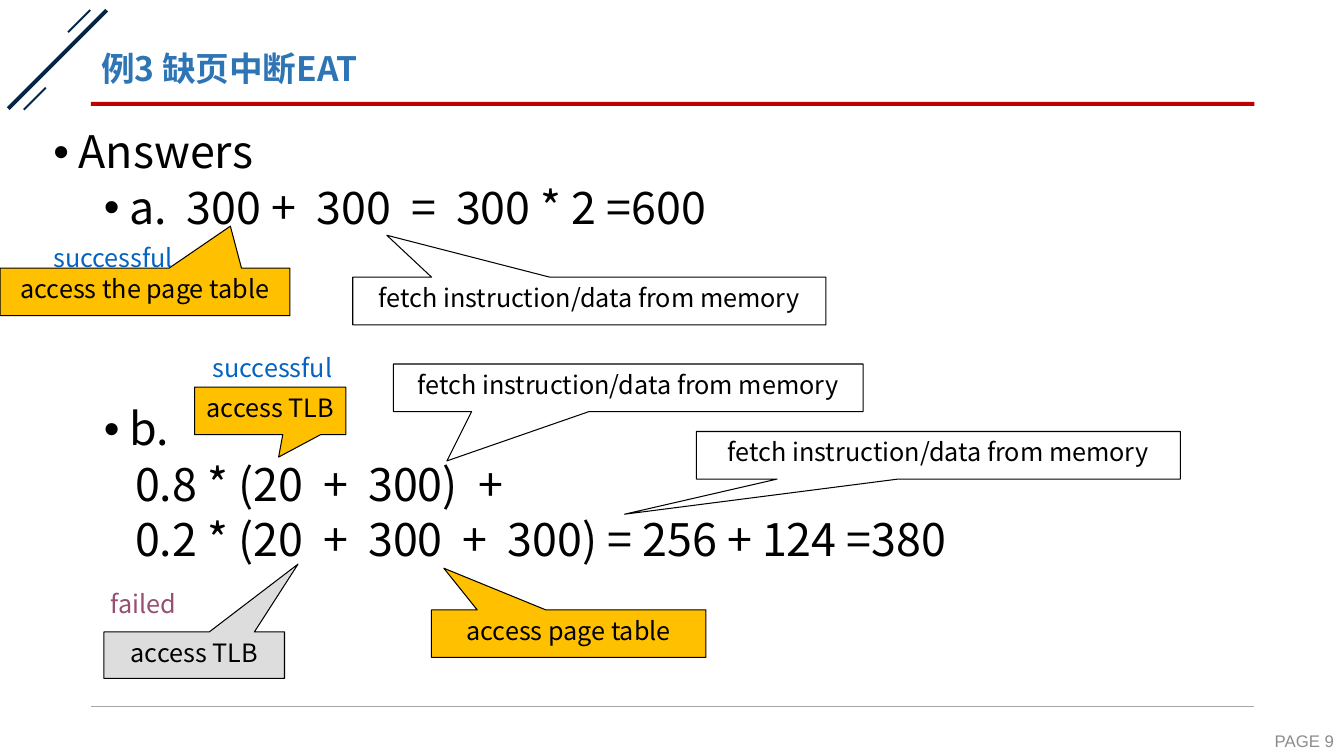
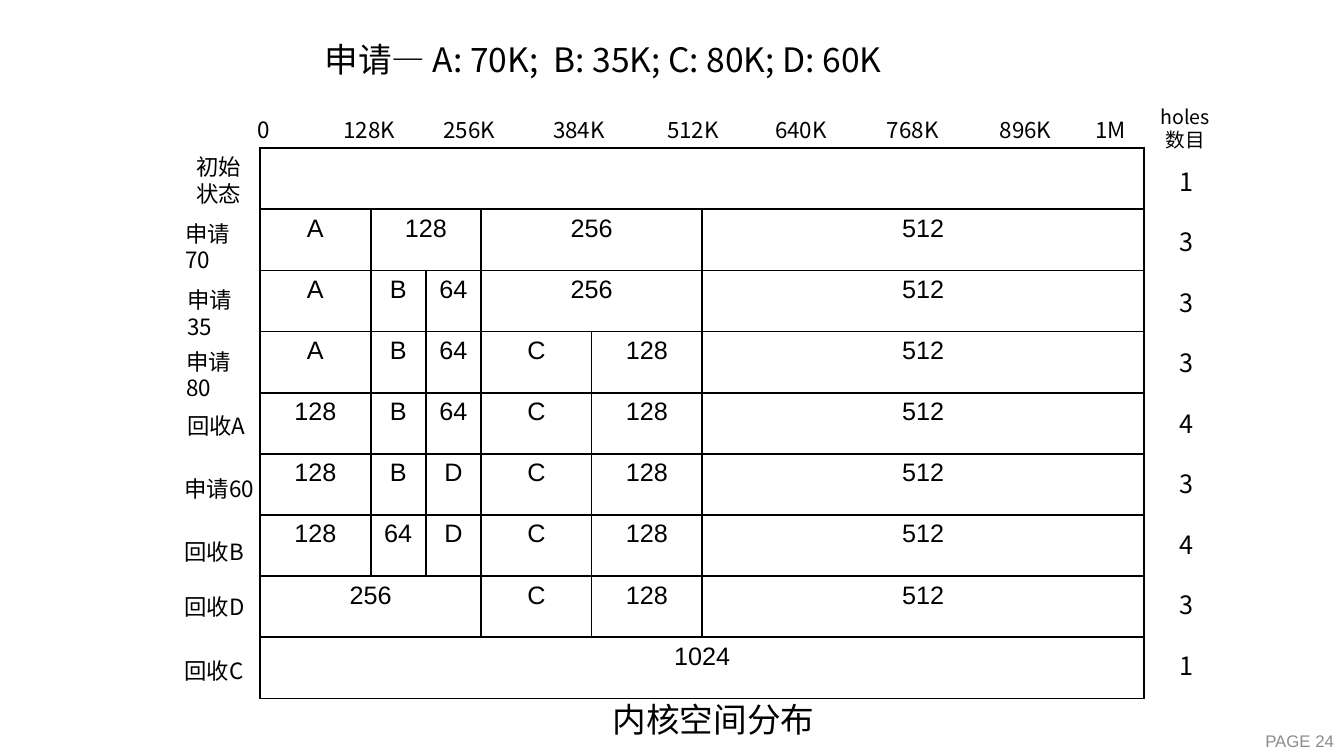
from lxml import etree
from pptx import Presentation
from pptx.dml.color import RGBColor
from pptx.enum import shapes, text
from pptx.oxml import ns
from pptx.util import Pt

COLORS = {
    "black": "000000", "white": "FFFFFF", "navy": "052547", "red": "C00000",
    "rule": "A6A6A6", "title": "2E75B6", "page": "8C8C8C", "amber": "FFC000",
    "silver": "DDDDDD", "success": "0563C1", "failure": "954F72",
}
FONT, LATIN = "Noto Sans CJK SC", "Arial"
LEFT, CENTER, RIGHT = text.PP_ALIGN.LEFT, text.PP_ALIGN.CENTER, text.PP_ALIGN.RIGHT
TOP, MIDDLE = text.MSO_ANCHOR.TOP, text.MSO_ANCHOR.MIDDLE


def rgb(name):
    return RGBColor.from_string(COLORS[name])


def sub(parent, tag, **attrs):
    return etree.SubElement(parent, ns.qn(tag), attrs)


def write(tf, content, size=18, color="black", font=FONT, bold=False, align=LEFT,
          spacing=None, before=None, level=0, margin=None, hang=0, bullet=None):
    """Add one paragraph per line of content to a text frame."""
    for line in content.split("\n"):
        p = tf.paragraphs[0] if not tf.text else tf.add_paragraph()
        p.alignment, p.level = align, level
        if spacing is not None:
            p.line_spacing = spacing
        if before is not None:
            p.space_before = Pt(before)
        if margin is not None:
            pPr = p._p.get_or_add_pPr()
            pPr.set("marL", str(Pt(margin)))
            pPr.set("indent", str(Pt(-hang)))
            if bullet:
                sub(pPr, "a:buFont", typeface=LATIN)
                sub(pPr, "a:buChar", char=bullet)
            else:
                sub(pPr, "a:buNone")
        r = p.add_run()
        r.text = line
        r.font.size, r.font.bold, r.font.name = Pt(size), bold, font
        r.font.color.rgb = rgb(color)
        sub(r._r.get_or_add_rPr(), "a:ea", typeface=font)


class Deck:
    """The shared style and the slide being built."""

    def __init__(self):
        self.prs = Presentation()
        self.prs.slide_width, self.prs.slide_height = Pt(960), Pt(540)
        self.s = None

    def slide(self, layout, page):
        self.s = self.prs.slides.add_slide(self.prs.slide_layouts[layout])
        for sp in list(self.s.placeholders):
            if sp.placeholder_format.idx > 1:
                sp._element.getparent().remove(sp._element)
        self.label(856, 517, 104, f"PAGE {page}", height=24.5, anchor=MIDDLE,
                   size=12, color="page", font=LATIN, align=RIGHT)

    def frame(self, sp, box, anchor=TOP):
        sp.left, sp.top, sp.width, sp.height = map(Pt, box)
        tf = sp.text_frame
        tf.word_wrap, tf.vertical_anchor = True, anchor
        tf.auto_size = text.MSO_AUTO_SIZE.NONE
        return tf

    def title(self, content, box, anchor=MIDDLE, **fmt):
        write(self.frame(self.s.shapes.title, box, anchor), content, size=24, **fmt)

    def body(self, box):
        return self.frame(self.s.placeholders[1], box)

    def label(self, x, y, width, content, height=28, anchor=TOP, **fmt):
        box = (x, y, width, height)
        sp = self.s.shapes.add_textbox(*map(Pt, box))
        write(self.frame(sp, box, anchor), content, **fmt)

    def shape(self, kind, box, fill, line=None, rotation=0):
        sp = self.s.shapes.add_shape(kind, *map(Pt, box))
        sp.shadow.inherit = False
        sp.rotation = rotation
        sp.fill.solid()
        sp.fill.fore_color.rgb = rgb(fill)
        if line:
            sp.line.color.rgb, sp.line.width = rgb(line), Pt(0.75)
        else:
            sp.line.fill.background()
        return sp

    def callout(self, box, tip, fill, content):
        sp = self.shape(shapes.MSO_SHAPE.RECTANGULAR_CALLOUT, box, fill, "black")
        sp.adjustments[0], sp.adjustments[1] = tip
        write(self.frame(sp, box), content, align=CENTER)

    def rule(self, x1, x2, y):
        ln = self.s.shapes.add_connector(
            shapes.MSO_CONNECTOR.STRAIGHT, Pt(x1), Pt(y), Pt(x2), Pt(y))
        ln.line.color.rgb, ln.line.width = rgb("rule"), Pt(0.5)
        sub(ln._element.spPr, "a:effectLst")

    def bands(self):
        rect = shapes.MSO_SHAPE.RECTANGLE
        for box in ((-8.6, 41, 99.4, 2.9), (45.4, 14.4, 22.3, 1.4), (13.7, 69.8, 22.3, 1.4)):
            self.shape(rect, box, "navy", rotation=315)
        self.shape(rect, (65, 72.7, 831, 2.9), "red")
        self.rule(65, 896, 504.7)

    def table(self, x, y, widths, row_height, rows):
        """None in a row extends the cell on its left."""
        sp = self.s.shapes.add_table(len(rows), len(widths), Pt(x), Pt(y),
                                     Pt(sum(widths)), Pt(row_height * len(rows)))
        t = sp.table
        t.first_row = t.horz_banding = False
        for col, width in zip(t.columns, widths):
            col.width = Pt(width)
        for i, row in enumerate(rows):
            t.rows[i].height = Pt(row_height)
            for j, value in enumerate(row):
                cell = t.cell(i, j)
                self.borders(cell)
                cell.fill.background()
                if value is None:
                    continue
                if value:
                    write(cell.text_frame, value, font=LATIN, align=CENTER)
                end = j
                while end + 1 < len(row) and row[end + 1] is None:
                    end += 1
                if end > j:
                    cell.merge(t.cell(i, end))

    def borders(self, cell):
        tcPr = cell._tc.get_or_add_tcPr()
        for side in ("a:lnL", "a:lnR", "a:lnT", "a:lnB"):
            ln = sub(tcPr, side, w=str(Pt(1.5)))
            sub(sub(ln, "a:solidFill"), "a:srgbClr", val=COLORS["black"])


def answers(d):
    d.slide(1, 9)
    d.bands()
    d.title("例3 缺页中断EAT", (65, 28.8, 831, 43.2), color="title", bold=True, spacing=0.9)

    # Worked answers, with room for the callouts between a and b
    tf = d.body((31, 89.3, 905, 406))
    item = dict(size=32, spacing=0.9)
    bullet = dict(item, level=1, margin=54, hang=18, bullet="•")
    write(tf, "Answers", before=10, margin=18, hang=18, bullet="•", **item)
    write(tf, "a.  300 +  300  =  300 * 2 =600", before=5, **bullet)
    write(tf, "b.", before=123.7, **bullet)
    write(tf, "0.8 * (20  +  300)  +\n0.2 * (20  +  300  +  300) = 256 + 124 =380",
          before=5, level=1, margin=58.3, **item)

    # Callouts: box, tip, fill, text
    fetch = "fetch instruction/data from memory"
    for box, tip, fill, content in (
        ((0, 191.5, 207, 34), (0.295, -1.382), "amber", "access the page table"),
        ((252, 198, 338, 34), (-0.428, -1.382), "white", fetch),
        ((139, 276.5, 108, 34), (0.056, 0.971), "amber", "access TLB"),
        ((281, 260, 335.5, 34), (-0.386, 1.537), "white", fetch),
        ((74.2, 451.4, 129, 33.2), (0.575, -1.96), "silver", "access TLB"),
        ((308.2, 435.6, 196, 34), (-0.455, -1.375), "amber", "access page table"),
        ((497.5, 308.2, 345.6, 34), (-0.649, 1.239), "white", fetch),
    ):
        d.callout(box, tip, fill, content)

    # Outcome of each lookup
    for x, y, content, color in ((31, 169.2, "successful", "success"),
                                 (144.7, 248.4, "successful", "success"),
                                 (72, 416.9, "failed", "failure")):
        d.label(x, y, 110, content, color=color)


def buddy_system(d):
    d.slide(5, 24)
    d.title("申请— A: 70K;  B: 35K; C: 80K; D: 60K", (224.6, 24.5, 509, 36.7), TOP)

    # Memory blocks, column widths in units of 128K
    unit = 78.93
    d.table(185.8, 105.8, [unit * n for n in (1, 0.5, 0.5, 1, 1, 4)], 43.7, [
        ["", None, None, None, None, None],
        ["A", "128", None, "256", None, "512"],
        ["A", "B", "64", "256", None, "512"],
        ["A", "B", "64", "C", "128", "512"],
        ["128", "B", "64", "C", "128", "512"],
        ["128", "B", "D", "C", "128", "512"],
        ["128", "64", "D", "C", "128", "512"],
        ["256", None, None, "C", "128", "512"],
        ["1024", None, None, None, None, None],
    ])

    # Address scale
    for x, content in ((177.1, "0"), (238.3, "128K"), (309.6, "256K"), (388, "384K"),
                       (469.4, "512K"), (546.5, "640K"), (626.4, "768K"),
                       (707, "896K"), (775.4, "1M")):
        d.label(x, 79.5, 70, content, size=16)

    # Step of each row; narrow labels wrap before the number
    for x, y, width, content in (
        (133.2, 105.8, 50, "初始\n状态"), (125.3, 153.4, 50, "申请70"),
        (126.7, 200.9, 50, "申请35"), (126, 244.8, 50, "申请80"),
        (126.7, 290.9, 70, "回收A"), (124.6, 335.5, 70, "申请60"),
        (124.6, 380.9, 70, "回收B"), (124.6, 420.5, 70, "回收D"),
        (124.6, 465.8, 70, "回收C"),
    ):
        d.label(x, y, width, content, size=16)

    # Number of holes after each step
    d.label(816.7, 71.3, 60, "holes\n数目", height=41, size=14, align=CENTER)
    sp = d.s.shapes.add_textbox(0, 0, 0, 0)
    tf = d.frame(sp, (835.2, 115.2, 30, 378))
    for i, count in enumerate("133343431"):
        write(tf, count, before=21.6 if i else 0)

    d.label(430.6, 496, 170, "内核空间分布", height=36.7, size=24)


def main():
    d = Deck()
    answers(d)
    buddy_system(d)
    d.prs.save("out.pptx")


if __name__ == "__main__":
    main()
